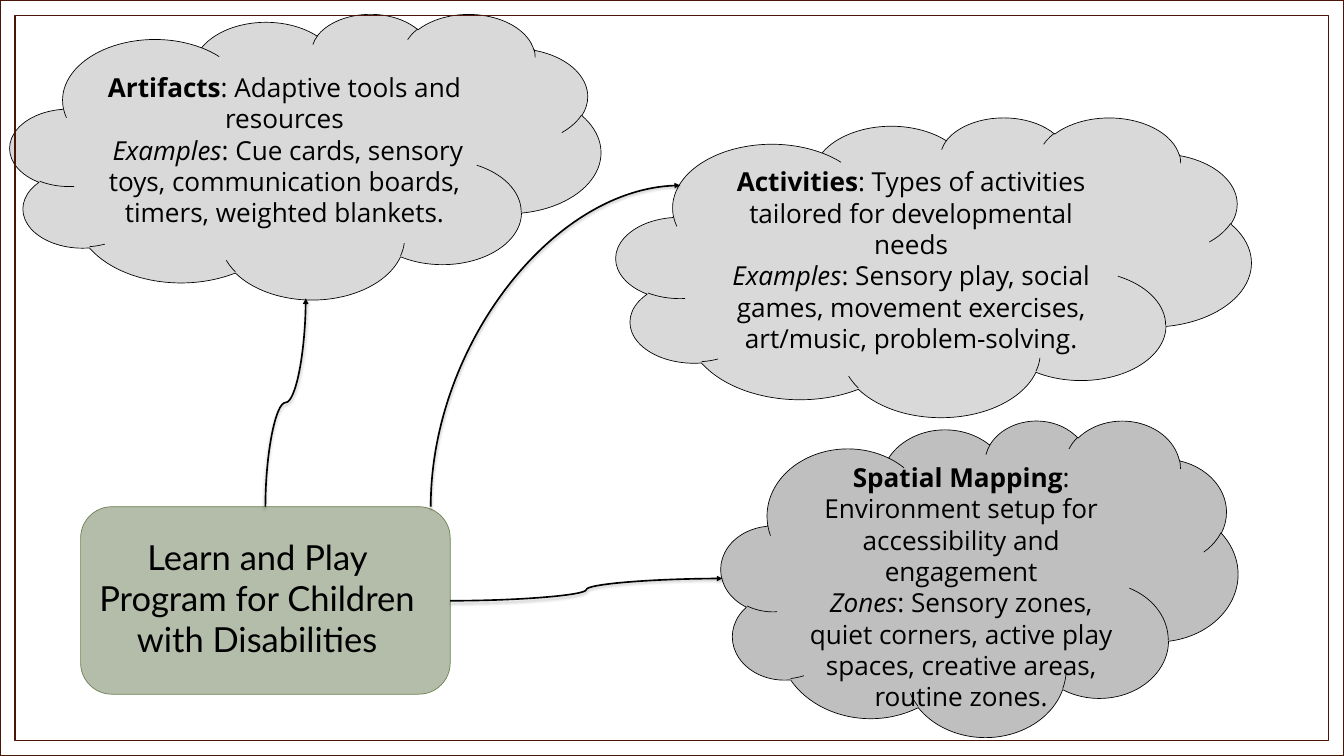
from lxml.etree import SubElement
from pptx import Presentation
from pptx.dml.color import RGBColor
from pptx.enum.shapes import MSO_CONNECTOR, MSO_SHAPE
from pptx.enum.text import MSO_ANCHOR, MSO_AUTO_SIZE, PP_ALIGN
from pptx.oxml.ns import qn
from pptx.util import Pt

BLACK, LIGHT, GREY = "000000", "D9D9D9", "BFBFBF"
SAGE, OLIVE, BROWN = "B4BCAA", "6D804F", "481507"


def color(code):
    return RGBColor.from_string(code)


class MapStyle:
    cloud_font, cloud_size = "Open Sans", 28
    title_font, title_size = "Lato", 37

    def __init__(self, page):
        self.page = page

    def shape(self, kind, place, fill, line, width=0.75):
        box = self.page.shapes.add_shape(kind, *map(Pt, place))
        box.shadow.inherit = False
        if fill:
            box.fill.solid()
            box.fill.fore_color.rgb = color(fill)
        else:
            box.fill.background()
        box.line.color.rgb = color(line)
        box.line.width = Pt(width)
        return box

    def span(self, para, text, font, size, bold=False, italic=False):
        span = para.add_run()
        span.text = text
        span.font.name = font
        span.font.size = Pt(size)
        span.font.bold = bold
        span.font.italic = italic
        span.font.color.rgb = color(BLACK)

    def cloud(self, place, fill, heading, summary, label, examples, drop=0):
        """Cloud with a bold heading and an italic label; drop lowers the text."""
        frame = self.shape(MSO_SHAPE.CLOUD, place, fill, BLACK).text_frame
        frame.word_wrap = True
        frame.vertical_anchor = MSO_ANCHOR.MIDDLE
        frame.margin_top = Pt(3.6 + drop)
        font, size = self.cloud_font, self.cloud_size
        first, second = frame.paragraphs[0], frame.add_paragraph()
        for para in (first, second):
            para.alignment = PP_ALIGN.CENTER
            para.line_spacing = Pt(33.6)
        self.span(first, heading, font, size, bold=True)
        self.span(first, summary, font, size)
        self.span(second, label, font, size, italic=True)
        self.span(second, examples, font, size)

    def arrow(self, start, end, preset="curvedConnector3", upright=False):
        """Curved arrow; an upright one leaves vertically, turned by 90 degrees."""
        (x1, y1), (x2, y2) = start, end
        if upright:
            mid_x, mid_y = (x1 + x2) / 2, (y1 + y2) / 2
            dx, dy = x1 - mid_x, y1 - mid_y
            x1, y1, x2, y2 = mid_x + dy, mid_y - dx, mid_x - dy, mid_y + dx
        arrow = self.page.shapes.add_connector(
            MSO_CONNECTOR.CURVE, *map(Pt, (x1, y1, x2, y2)))
        arrow.line.color.rgb = color(BLACK)
        arrow.line.width = Pt(1.75)
        props = arrow.element.spPr
        if upright:
            props.find(qn("a:xfrm")).set("rot", "5400000")
        props.find(qn("a:prstGeom")).set("prst", preset)
        SubElement(props.find(qn("a:ln")), qn("a:tailEnd"), type="triangle")
        # Soft shadow below the line
        effects = SubElement(props, qn("a:effectLst"))
        shadow = SubElement(effects, qn("a:outerShdw"), blurRad=str(Pt(3)),
                            dist=str(Pt(2)), dir="5400000", rotWithShape="0")
        tint = SubElement(shadow, qn("a:srgbClr"), val=BLACK)
        SubElement(tint, qn("a:alpha"), val="25000")

    def title(self, place, text):
        title = self.page.shapes.title
        title.left, title.top, title.width, title.height = map(Pt, place)
        title.element.getparent().append(title.element)  # in front of its box
        frame = title.text_frame
        frame.word_wrap = True
        frame.auto_size = MSO_AUTO_SIZE.NONE
        frame.vertical_anchor = MSO_ANCHOR.TOP
        para = frame.paragraphs[0]
        para.alignment = PP_ALIGN.CENTER
        self.span(para, text, self.title_font, self.title_size)


def main():
    deck = Presentation()
    deck.slide_width, deck.slide_height = Pt(1440), Pt(810)
    style = MapStyle(deck.slides.add_slide(deck.slide_layouts[5]))

    # Program box
    style.shape(MSO_SHAPE.ROUNDED_RECTANGLE, (86.4, 542.9, 396, 200.9), SAGE, OLIVE)

    # Clouds
    style.cloud((10.8, 14.4, 632.9, 306), LIGHT,
                "Artifacts", ": Adaptive tools and resources",
                " Examples", ": Cue cards, sensory toys, communication boards, "
                "timers, weighted blankets.")
    style.cloud((772.6, 450, 553.7, 339.1), GREY,
                "Spatial Mapping", ": Environment setup for accessibility and engagement",
                "Zones", ": Sensory zones, quiet corners, active play spaces, "
                "creative areas, routine zones.", drop=33.6)
    style.cloud((660.2, 125.3, 680.4, 321.1), LIGHT,
                "Activities", ": Types of activities tailored for developmental needs",
                "Examples", ": Sensory play, social games, movement exercises, "
                "art/music, problem-solving.")

    # Arrows from the program to each cloud
    style.arrow((284.4, 542.9), (327.6, 319.7), upright=True)
    style.arrow((461.5, 542.9), (728.6, 198.7), "curvedConnector2", upright=True)
    style.arrow((482.4, 643.7), (774, 619.9))

    # Title and page border
    style.title((86.4, 570.2, 378, 141.8),
                "Learn and Play Program for Children with Disabilities")
    border = style.shape(MSO_SHAPE.FRAME, (0, 0, 1440, 810), None, BROWN, 1.25)
    border.adjustments[0] = 0.02

    deck.save("out.pptx")


if __name__ == "__main__":
    main()
